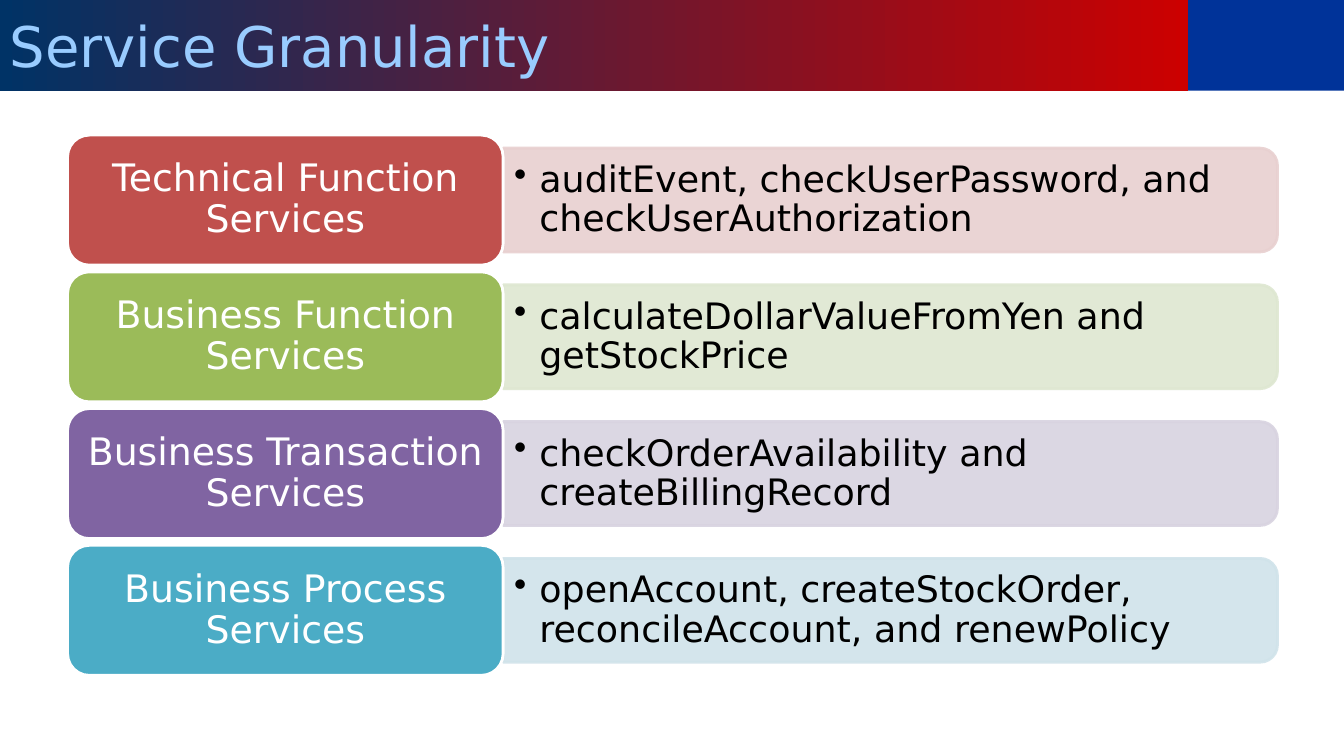
from lxml import etree
from pptx import Presentation
from pptx.dml.color import RGBColor
from pptx.enum.shapes import MSO_SHAPE
from pptx.enum.text import MSO_ANCHOR, PP_ALIGN
from pptx.oxml.ns import qn
from pptx.util import Inches, Pt

RECTANGLE = MSO_SHAPE.RECTANGLE
ROUNDED = MSO_SHAPE.ROUNDED_RECTANGLE
ROUNDED_TOP = MSO_SHAPE.ROUND_2_SAME_RECTANGLE
MIDDLE = MSO_ANCHOR.MIDDLE
LEFT, CENTER = PP_ALIGN.LEFT, PP_ALIGN.CENTER

FONT = "DejaVu Sans"
SLIDE_WIDTH, SLIDE_HEIGHT = 13.33, 7.5
LABEL_WIDTH, LABEL_HEIGHT = 4.32, 1.29
BAR_HEIGHT = 1.03
SERVICES = [
    ("Technical Function Services",
     "auditEvent, checkUserPassword, and checkUserAuthorization", "C0504D", "E8D0D0"),
    ("Business Function Services",
     "calculateDollarValueFromYen and getStockPrice", "9BBB59", "DEE7D1"),
    ("Business Transaction Services",
     "checkOrderAvailability and createBillingRecord", "8064A2", "D8D3E0"),
    ("Business Process Services",
     "openAccount, createStockOrder, reconcileAccount, and renewPolicy", "4BACC6", "D0E3EA"),
]


def color(code):
    return RGBColor.from_string(code)


def add_box(page, kind, left, top, width, height, fill=None, line=None):
    box = page.shapes.add_shape(kind, Inches(left), Inches(top), Inches(width), Inches(height))
    box.shadow.inherit = False
    if fill:
        box.fill.solid()
        box.fill.fore_color.rgb = color(fill)
    if line:
        box.line.color.rgb = color(line)
        box.line.width = Pt(2)
    else:
        box.line.fill.background()
    return box


def write(box, text, size, code, align=LEFT, inset=(0.1, 0.05), spacing=1.0, bullet=False):
    frame = box.text_frame
    frame.word_wrap = True
    frame.vertical_anchor = MIDDLE
    frame.margin_left = frame.margin_right = Inches(inset[0])
    frame.margin_top = frame.margin_bottom = Inches(inset[1])
    para = frame.paragraphs[0]
    para.alignment = align
    para.line_spacing = spacing
    if bullet:
        properties = para._p.get_or_add_pPr()
        properties.set("marL", str(Inches(0.25)))
        properties.set("indent", str(-Inches(0.25)))
        etree.SubElement(properties, qn("a:buChar")).set("char", "•")
    span = para.add_run()
    span.text = text
    span.font.name = FONT
    span.font.size = Pt(size)
    span.font.color.rgb = color(code)


def make_translucent(box, percent):
    for tint in box._element.spPr.iter(qn("a:srgbClr")):
        etree.SubElement(tint, qn("a:alpha")).set("val", str(percent * 1000))


def add_header(page, left, top, width, height):
    title_width = 11.78
    add_box(page, RECTANGLE, left + title_width, top, width - title_width, height, "003399")
    title = add_box(page, RECTANGLE, left, top, title_width, height)
    title.fill.gradient()
    title.fill.gradient_angle = 0
    for stop, code in zip(title.fill.gradient_stops, ("003366", "CC0000")):
        stop.color.rgb = color(code)
    write(title, "Service Granularity", 40, "99CCFF")


def add_service(page, left, top, width, service):
    """Place a label with its bar of examples to the right."""
    name, examples, label_fill, bar_fill = service
    bar_left, bar_width = left + LABEL_WIDTH, width - LABEL_WIDTH
    middle = top + LABEL_HEIGHT / 2
    # The bar stands upright until turned, so that its round corners face right.
    bar = add_box(page, ROUNDED_TOP, bar_left + (bar_width - BAR_HEIGHT) / 2,
                  middle - bar_width / 2, BAR_HEIGHT, bar_width, bar_fill, bar_fill)
    bar.rotation = 90
    make_translucent(bar, 90)
    caption = page.shapes.add_textbox(Inches(bar_left), Inches(middle - 0.46),
                                      Inches(bar_width - 0.05), Inches(0.93))
    write(caption, examples, 26, "000000", inset=(0.11, 0.05), spacing=0.9, bullet=True)
    label = add_box(page, ROUNDED, left, top, LABEL_WIDTH, LABEL_HEIGHT, label_fill, "FFFFFF")
    write(label, name, 27, "FFFFFF", align=CENTER, inset=(0.11, 0.06), spacing=0.9)


def add_service_list(page, left, top, width, height):
    pitch = (height - LABEL_HEIGHT) / (len(SERVICES) - 1)
    for row, service in enumerate(SERVICES):
        add_service(page, left, top + row * pitch, width, service)


def main():
    deck = Presentation()
    deck.slide_width, deck.slide_height = Inches(SLIDE_WIDTH), Inches(SLIDE_HEIGHT)
    page = deck.slides.add_slide(deck.slide_layouts[6])
    add_header(page, 0, 0, SLIDE_WIDTH, 0.9)
    add_service_list(page, 0.67, 1.34, 12, 5.36)
    deck.save("out.pptx")


if __name__ == "__main__":
    main()
